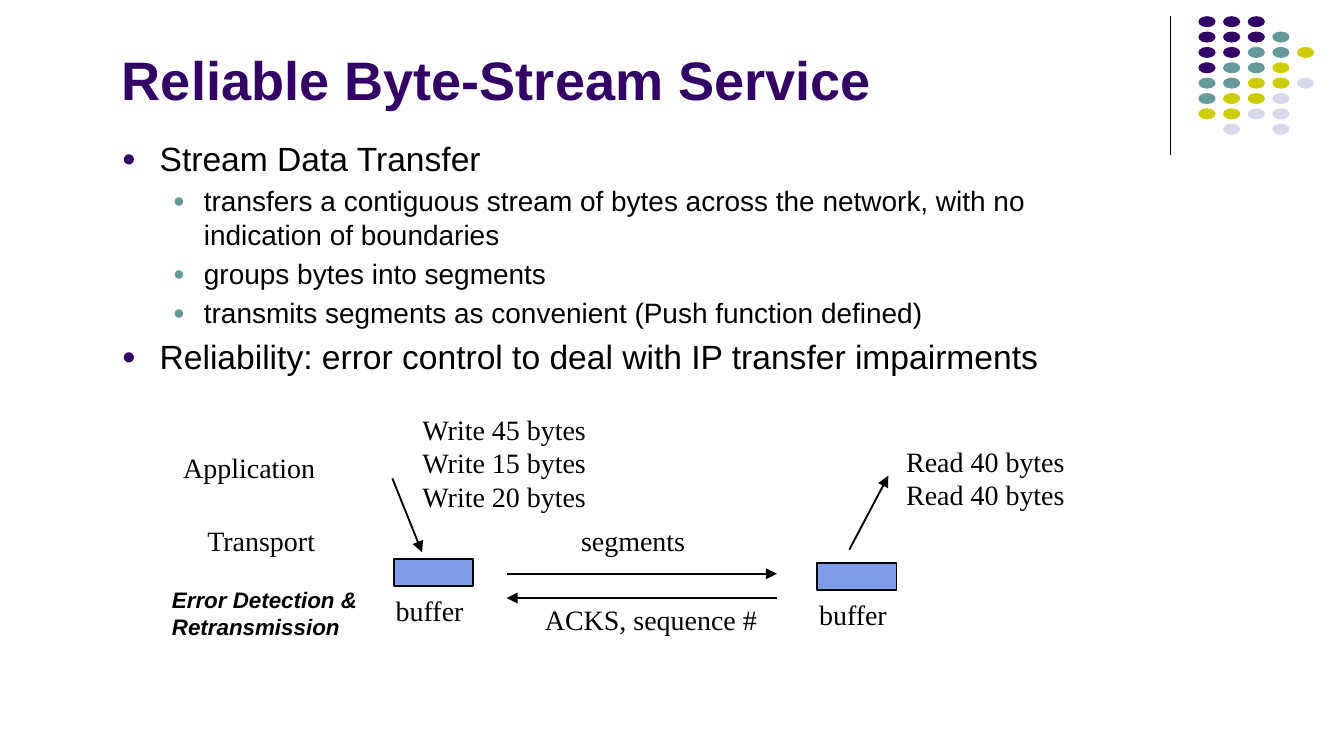
from dataclasses import dataclass

from lxml import etree
from pptx import Presentation
from pptx.dml.color import RGBColor
from pptx.enum import shapes, text
from pptx.oxml.ns import qn
from pptx.util import Pt

INDIGO, TEAL, OLIVE, LILAC = "330066", "669999", "CCCC00", "D8D8EC"
BLACK, BUFFER_BLUE = "000000", "7E9CE8"
SERIF, SANS = "Times New Roman", "Arial"


@dataclass
class Label:
    lines: list[str]
    left: float
    top: float
    width: float
    height: float
    size: float = 15
    font: str = SERIF
    color: str = BLACK
    bold: bool = False
    italic: bool = False
    wrap: bool = False
    inset: tuple[float, float] = (5.3, 2.6)
    anchor: text.MSO_ANCHOR = text.MSO_ANCHOR.TOP


@dataclass
class Line:
    start: tuple[float, float]
    end: tuple[float, float]
    weight: float = 1
    arrow: bool = True


@dataclass
class Level:
    size: float
    bullet: str
    margin: float
    hang: float
    before: float


LEVELS = [Level(18, INDIGO, 20.2, 20.2, 3.6), Level(15, TEAL, 43.9, 16.5, 3)]

OUTLINE = [
    (0, "Stream Data Transfer"),
    (1, "transfers a contiguous stream of bytes across the network, with no indication of boundaries"),
    (1, "groups bytes into segments"),
    (1, "transmits segments as convenient (Push function defined)"),
    (0, "Reliability: error control to deal with IP transfer impairments"),
]

DOT_COLORS = {"I": INDIGO, "T": TEAL, "O": OLIVE, "L": LILAC}
DOT_ROWS = ["III", "IIIT", "IITTO", "ITTO", "TTOOL", "TOOL", "OOLL", " L L"]

LABELS = [
    Label(["Reliable Byte-Stream Service"], 60, 8.6, 541.4, 67.7, 29, SANS, INDIGO,
          bold=True, wrap=True, anchor=text.MSO_ANCHOR.MIDDLE),
    Label(["Write 45 bytes", "Write 15 bytes", "Write 20 bytes"], 221, 218.2, 99.4, 59.8),
    Label(["Application"], 92.9, 239, 82.1, 23.8),
    Label(["Transport"], 105.8, 277.9, 69.1, 23.8),
    Label(["Read 40 bytes", "Read 40 bytes"], 480.2, 235.4, 96.5, 41.8),
    Label(["segments"], 306, 277.9, 67, 23.8),
    Label(["ACKS, sequence #"], 286.6, 320.4, 125.3, 23.8),
    Label(["Error Detection & Retransmission"], 85, 310.3, 118.8, 36, 12, SANS,
          bold=True, italic=True, wrap=True, inset=(7.2, 3.6)),
]

LINES = [
    Line((627.1, 8.6), (627.1, 82.8), 0.75, arrow=False),
    Line((210.2, 256.3), (226.1, 295.9)),
    Line((455, 294.5), (475.9, 254.9)),
    Line((271.4, 307.4), (416.2, 307.4)),
    Line((416.2, 320.4), (271.4, 320.4)),
]

BUFFERS = [(211, 299.5), (437.8, 301.7)]


def rgb(code: str) -> RGBColor:
    return RGBColor.from_string(code)


def add_frame(slide, label: Label):
    box = slide.shapes.add_textbox(Pt(label.left), Pt(label.top), Pt(label.width), Pt(label.height))
    frame = box.text_frame
    frame.word_wrap = label.wrap
    frame.vertical_anchor = label.anchor
    frame.margin_left = frame.margin_right = Pt(label.inset[0])
    frame.margin_top = frame.margin_bottom = Pt(label.inset[1])
    if not label.wrap:
        frame.auto_size = text.MSO_AUTO_SIZE.SHAPE_TO_FIT_TEXT
    return frame


def next_paragraph(frame, index: int):
    return frame.paragraphs[0] if index == 0 else frame.add_paragraph()


def style(paragraph, size: float, font: str, color: str, bold: bool = False, italic: bool = False) -> None:
    paragraph.font.size = Pt(size)
    paragraph.font.name = font
    paragraph.font.color.rgb = rgb(color)
    paragraph.font.bold = bold
    paragraph.font.italic = italic


def draw_label(slide, label: Label) -> None:
    frame = add_frame(slide, label)
    for index, line in enumerate(label.lines):
        paragraph = next_paragraph(frame, index)
        paragraph.text = line
        style(paragraph, label.size, label.font, label.color, label.bold, label.italic)


def add_bullet(paragraph, level: Level) -> None:
    properties = paragraph._p.get_or_add_pPr()
    properties.set("marL", str(Pt(level.margin)))
    properties.set("indent", str(-Pt(level.hang)))
    color = etree.SubElement(properties, qn("a:buClr"))
    etree.SubElement(color, qn("a:srgbClr"), val=level.bullet)
    etree.SubElement(properties, qn("a:buSzPct"), val="70000")
    etree.SubElement(properties, qn("a:buFont"), typeface=SANS)
    etree.SubElement(properties, qn("a:buChar"), char="●")


def draw_outline(slide) -> None:
    frame = add_frame(slide, Label([], 60, 71.3, 534.2, 157.7, wrap=True))
    for index, (depth, line) in enumerate(OUTLINE):
        level = LEVELS[depth]
        paragraph = next_paragraph(frame, index)
        paragraph.text = line
        paragraph.level = depth
        add_bullet(paragraph, level)
        if index:
            paragraph.space_before = Pt(level.before)
        style(paragraph, level.size, SANS, BLACK)


def draw_line(slide, line: Line) -> None:
    connector = slide.shapes.add_connector(
        shapes.MSO_CONNECTOR.STRAIGHT, *(Pt(value) for value in line.start + line.end))
    connector.line.color.rgb = rgb(BLACK)
    connector.line.width = Pt(line.weight)
    if line.arrow:
        etree.SubElement(connector.line._get_or_add_ln(), qn("a:tailEnd"), type="triangle")
    etree.SubElement(connector._element.spPr, qn("a:effectLst"))


def draw_filled(slide, kind: shapes.MSO_SHAPE, left: float, top: float,
                width: float, height: float, fill: str):
    shape = slide.shapes.add_shape(kind, Pt(left), Pt(top), Pt(width), Pt(height))
    shape.shadow.inherit = False
    shape.fill.solid()
    shape.fill.fore_color.rgb = rgb(fill)
    shape.line.fill.background()
    return shape


def draw_dots(slide) -> None:
    for row, colors in enumerate(DOT_ROWS):
        for column, key in enumerate(colors):
            if key in DOT_COLORS:
                draw_filled(slide, shapes.MSO_SHAPE.OVAL, 642 + 13.2 * column,
                            8.7 + 8.23 * row, 9.2, 5.9, DOT_COLORS[key])


def draw_buffer(slide, left: float, top: float) -> None:
    buffer = draw_filled(slide, shapes.MSO_SHAPE.RECTANGLE, left, top, 42.5, 14.4, BUFFER_BLUE)
    buffer.line.color.rgb = rgb(BLACK)
    buffer.line.width = Pt(1)
    draw_label(slide, Label(["buffer"], left - 4.3, top + 15.9, 47.5, 23.8))


def main() -> None:
    deck = Presentation()
    deck.slide_width, deck.slide_height = Pt(720), Pt(405)
    slide = deck.slides.add_slide(deck.slide_layouts[6])
    draw_dots(slide)
    draw_outline(slide)
    for left, top in BUFFERS:
        draw_buffer(slide, left, top)
    for line in LINES:
        draw_line(slide, line)
    for label in LABELS:
        draw_label(slide, label)
    deck.save("out.pptx")


if __name__ == "__main__":
    main()
